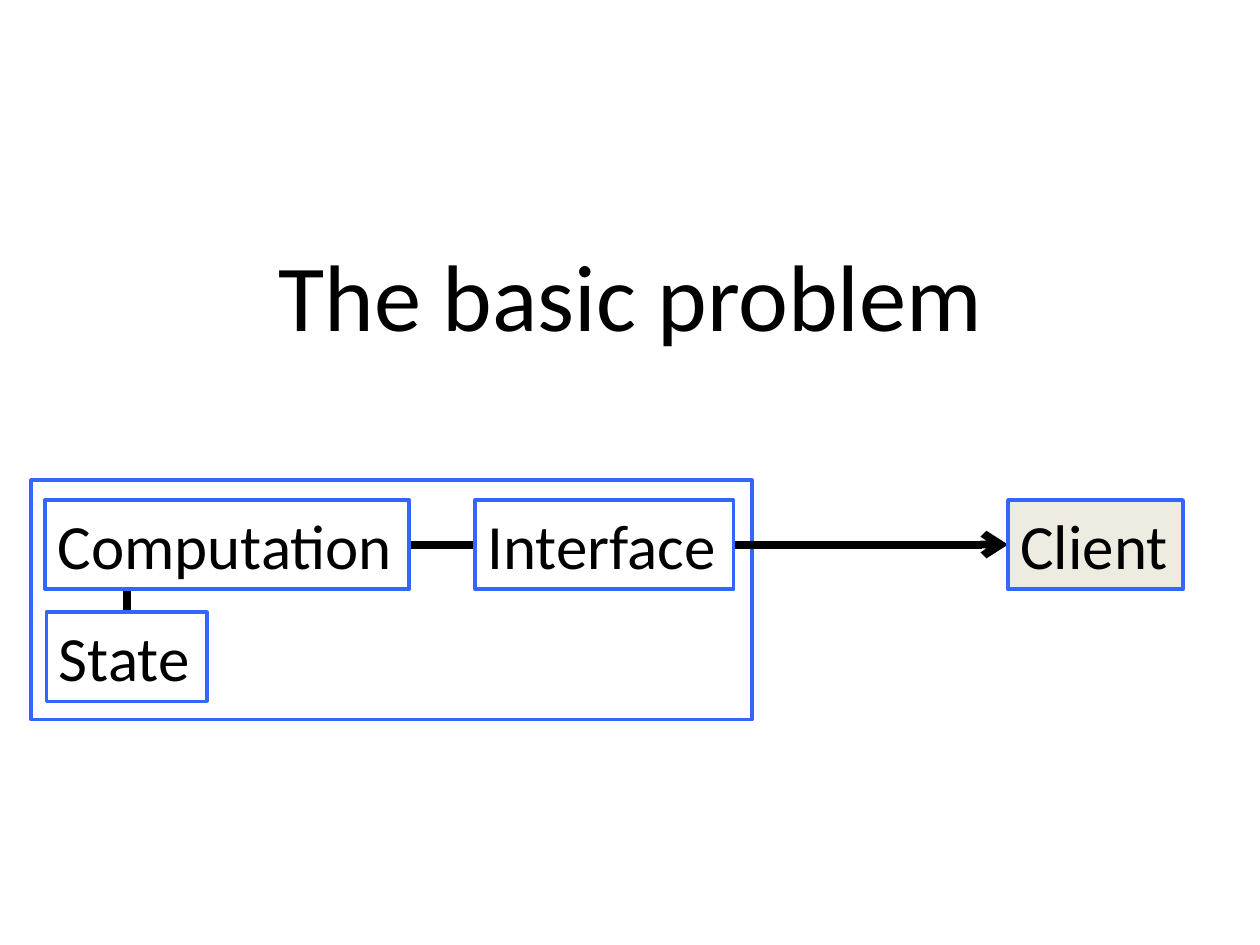
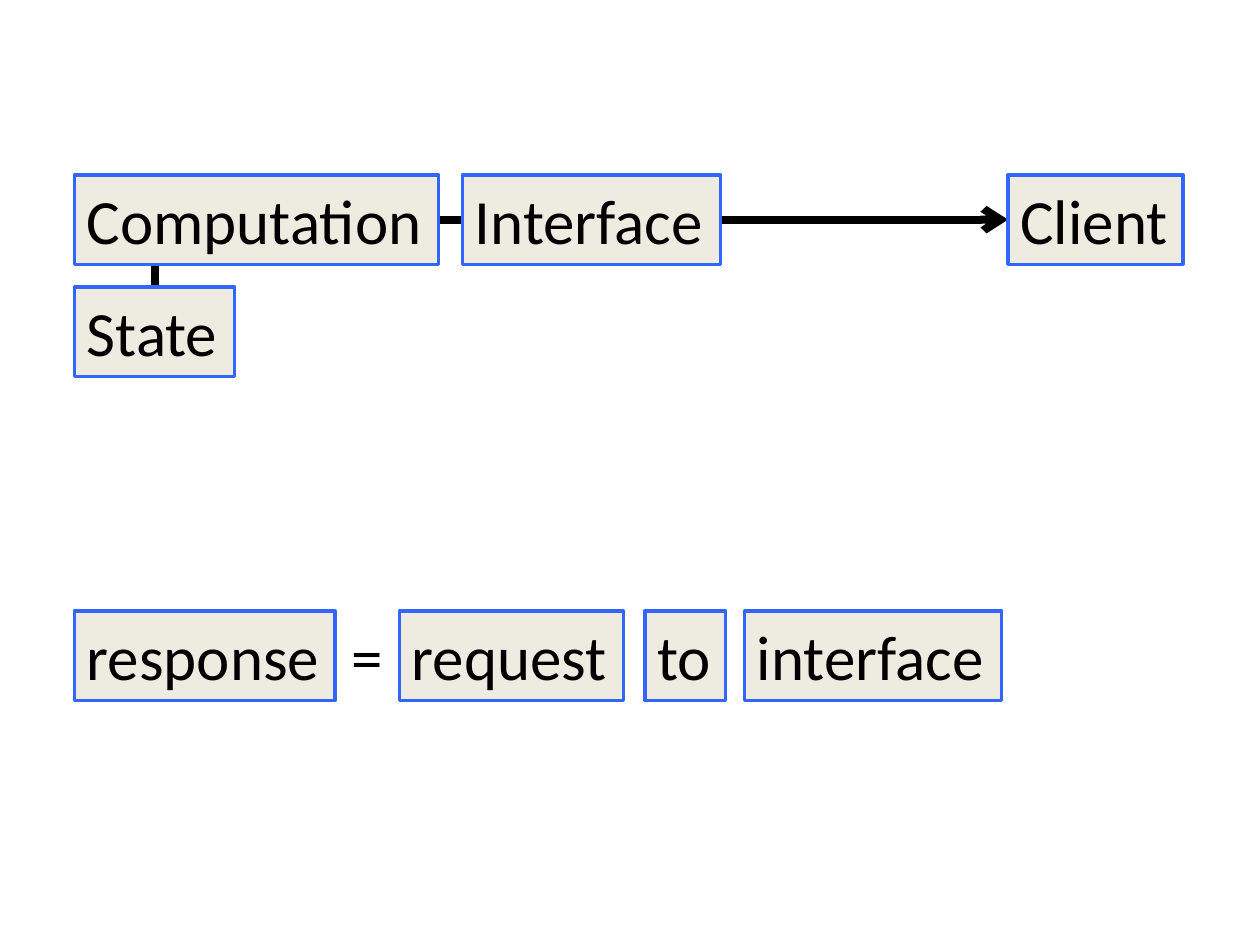
from lxml.etree import SubElement
from pptx import Presentation
from pptx.dml.color import RGBColor
from pptx.enum.shapes import MSO_CONNECTOR, MSO_SHAPE
from pptx.enum.text import MSO_ANCHOR, MSO_AUTO_SIZE, PP_ALIGN
from pptx.oxml.ns import qn
from pptx.util import Cm, Pt

BLACK = RGBColor(0x00, 0x00, 0x00)
WHITE = RGBColor(0xFF, 0xFF, 0xFF)
BLUE = RGBColor(0x33, 0x66, 0xFF)
BEIGE = RGBColor(0xEE, 0xEC, 0xE1)
FONT = "Calibri"
BOX_HEIGHT = 1.8
STATE_DROP = 2.26
STATE_WIDTH = 3.23
CLIENT_LEFT = 20.32


def add_box(slide, text, left, top, width, height=BOX_HEIGHT, fill=None, outlined=True):
    shape = slide.shapes.add_shape(
        MSO_SHAPE.RECTANGLE, Cm(left), Cm(top), Cm(width), Cm(height))
    shape.shadow.inherit = False
    if fill is None:
        shape.fill.background()
    else:
        shape.fill.solid()
        shape.fill.fore_color.rgb = fill
    if outlined:
        shape.line.color.rgb = BLUE
        shape.line.width = Pt(2)
    else:
        shape.line.fill.background()
    if text:
        text_frame = shape.text_frame
        text_frame.text = text
        text_frame.word_wrap = False
        text_frame.auto_size = MSO_AUTO_SIZE.SHAPE_TO_FIT_TEXT
        text_frame.vertical_anchor = MSO_ANCHOR.TOP
        paragraph = text_frame.paragraphs[0]
        paragraph.alignment = PP_ALIGN.LEFT
        font = paragraph.runs[0].font
        font.name, font.size, font.color.rgb = FONT, Pt(36), BLACK


def add_bent_arrow(slide, start_x, start_y, end_x, end_y):
    rise, run = start_y - end_y, end_x - start_x
    left = (start_x + end_x - rise) / 2
    top = (start_y + end_y - run) / 2
    connector = slide.shapes.add_connector(
        MSO_CONNECTOR.ELBOW, Cm(left + rise), Cm(top + run), Cm(left), Cm(top))
    connector.line.color.rgb = BLACK
    connector.line.width = Pt(4.5)
    properties = connector._element.spPr
    properties.find(qn("a:xfrm")).set("rot", str(90 * 60000))
    properties.find(qn("a:prstGeom")).set("prst", "bentConnector2")
    SubElement(properties.find(qn("a:ln")), qn("a:tailEnd"), type="arrow")
    SubElement(properties, qn("a:effectLst"))


presentation = Presentation()
presentation.slide_width = Cm(25.4)
presentation.slide_height = Cm(19.05)
title_only, blank = presentation.slide_layouts[5], presentation.slide_layouts[6]

problem_slide = presentation.slides.add_slide(title_only)
title = problem_slide.shapes.title
title.left, title.top, title.width, title.height = Cm(4.98), Cm(4.65), Cm(15.47), Cm(2.57)
title.text_frame.text = "The basic problem"
title.text_frame.auto_size = MSO_AUTO_SIZE.NONE
title.text_frame.vertical_anchor = MSO_ANCHOR.TOP
title_paragraph = title.text_frame.paragraphs[0]
title_paragraph.alignment = PP_ALIGN.CENTER
title_font = title_paragraph.runs[0].font
title_font.name, title_font.size, title_font.color.rgb = FONT, Pt(54), BLACK
add_box(problem_slide, "", 0.63, 9.68, 14.53, 4.83)

request_slide = presentation.slides.add_slide(blank)
for word, left, width in [
    ("response", 1.5, 5.26),
    ("=", 6.83, 1.14),
    ("request", 8.05, 4.52),
    ("to", 13, 1.63),
    ("interface", 15.01, 5.18),
]:
    is_box = word != "="
    add_box(request_slide, word, left, 12.32, width,
            fill=BEIGE if is_box else None, outlined=is_box)

for slide, top, state_left, computation_left, interface_left, server_fill in [
    (problem_slide, 10.08, 0.94, 0.91, 9.58, WHITE),
    (request_slide, 3.53, 1.5, 1.5, 9.32, BEIGE),
]:
    state_top = top + STATE_DROP
    add_bent_arrow(slide, state_left + STATE_WIDTH / 2, state_top,
                   CLIENT_LEFT, top + BOX_HEIGHT / 2)
    add_box(slide, "State", state_left, state_top, STATE_WIDTH, fill=server_fill)
    add_box(slide, "Computation", computation_left, top, 7.34, fill=server_fill)
    add_box(slide, "Interface", interface_left, top, 5.21, fill=server_fill)
    add_box(slide, "Client", CLIENT_LEFT, top, 3.53, fill=BEIGE)

presentation.save("out.pptx")
